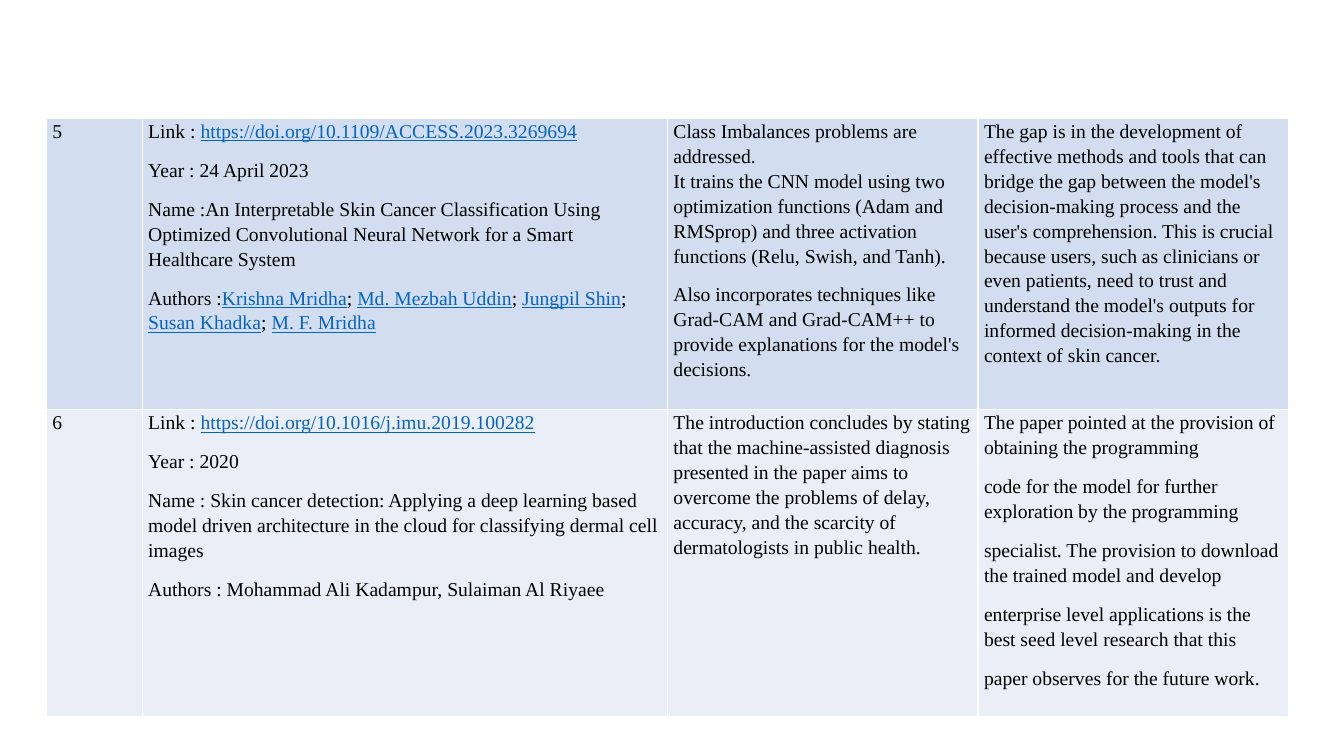
from lxml import etree
from pptx import Presentation
from pptx.dml.color import RGBColor
from pptx.oxml.ns import qn
from pptx.util import Inches, Pt

FONT = "Times New Roman"
TEXT, LINK, BORDER = "000000", "0563C1", "FFFFFF"
ROW_FILLS = ["D2DEEF", "EAEFF7"]
COL_WIDTHS = [0.95, 5.21, 3.08, 3.08]
ROW_HEIGHTS = [2.89, 3.05]

# Each cell is a list of paragraphs; a paragraph alternates plain and link runs.
PAPERS = [
    [
        [["5"]],
        [
            ["Link : ", "https://doi.org/10.1109/ACCESS.2023.3269694"],
            ["Year : 24 April 2023"],
            ["Name :An Interpretable Skin Cancer Classification Using Optimized "
             "Convolutional Neural Network for a Smart Healthcare System"],
            ["Authors :", "Krishna Mridha", "; ", "Md. Mezbah Uddin", "; ",
             "Jungpil Shin", "; ", "Susan Khadka", "; ", "M. F. Mridha"],
        ],
        [
            ["Class Imbalances problems are addressed.\n"
             "It trains the CNN model using two optimization functions (Adam and "
             "RMSprop) and three activation functions (Relu, Swish, and Tanh)."],
            ["Also incorporates techniques like Grad-CAM and Grad-CAM++ to provide "
             "explanations for the model's decisions."],
        ],
        [
            ["The gap is in the development of effective methods and tools that can "
             "bridge the gap between the model's decision-making process and the "
             "user's comprehension. This is crucial because users, such as clinicians "
             "or even patients, need to trust and understand the model's outputs for "
             "informed decision-making in the context of skin cancer."],
        ],
    ],
    [
        [["6"]],
        [
            ["Link : ", "https://doi.org/10.1016/j.imu.2019.100282"],
            ["Year : 2020"],
            ["Name : Skin cancer detection: Applying a deep learning based model driven "
             "architecture in the cloud for classifying dermal cell images"],
            ["Authors : Mohammad Ali Kadampur, Sulaiman Al Riyaee"],
        ],
        [
            ["The introduction concludes by stating that the machine-assisted diagnosis "
             "presented in the paper aims to overcome the problems of delay, accuracy, "
             "and the scarcity of dermatologists in public health."],
        ],
        [
            ["The paper pointed at the provision of obtaining the programming"],
            ["code for the model for further exploration by the programming"],
            ["specialist. The provision to download the trained model and develop"],
            ["enterprise level applications is the best seed level research that this"],
            ["paper observes for the future work."],
        ],
    ],
]


def rgb(color):
    return RGBColor.from_string(color)


def add_run(p, text, is_link):
    """Add text to a paragraph, turning newlines into line breaks."""
    for i, line in enumerate(text.split("\n")):
        if i:
            p.add_line_break()
        r = p.add_run()
        r.text = line
        r.font.name = FONT
        r.font.size = Pt(14)
        r.font.color.rgb = rgb(LINK if is_link else TEXT)
        if is_link:
            r.font.underline = True


def set_borders(cell):
    tc_pr = cell._tc.get_or_add_tcPr()
    for side in ("a:lnL", "a:lnR", "a:lnT", "a:lnB"):
        line = etree.SubElement(tc_pr, qn(side), w=str(Pt(1)))
        fill = etree.SubElement(line, qn("a:solidFill"))
        etree.SubElement(fill, qn("a:srgbClr"), val=BORDER)


def fill_cell(cell, paragraphs, color):
    set_borders(cell)
    cell.fill.solid()
    cell.fill.fore_color.rgb = rgb(color)
    cell.margin_left = cell.margin_right = Inches(0.06)
    cell.margin_top = cell.margin_bottom = 0
    tf = cell.text_frame
    for i, runs in enumerate(paragraphs):
        p = tf.add_paragraph() if i else tf.paragraphs[0]
        p.line_spacing = 1.15
        p.space_after = Pt(10)
        for j, text in enumerate(runs):
            add_run(p, text, is_link=j % 2 == 1)


def add_papers_table(s):
    table = s.shapes.add_table(
        len(PAPERS), len(COL_WIDTHS), Inches(0.46), Inches(1.17),
        Inches(sum(COL_WIDTHS)), Inches(sum(ROW_HEIGHTS))).table
    table.first_row = False
    for column, width in zip(table.columns, COL_WIDTHS):
        column.width = Inches(width)
    for row, height, paper, color in zip(table.rows, ROW_HEIGHTS, PAPERS, ROW_FILLS):
        row.height = Inches(height)
        for cell, paragraphs in zip(row.cells, paper):
            fill_cell(cell, paragraphs, color)


def main():
    prs = Presentation()
    prs.slide_width = Inches(13.33)
    prs.slide_height = Inches(7.5)
    s = prs.slides.add_slide(prs.slide_layouts[6])
    add_papers_table(s)
    prs.save("out.pptx")


if __name__ == "__main__":
    main()
